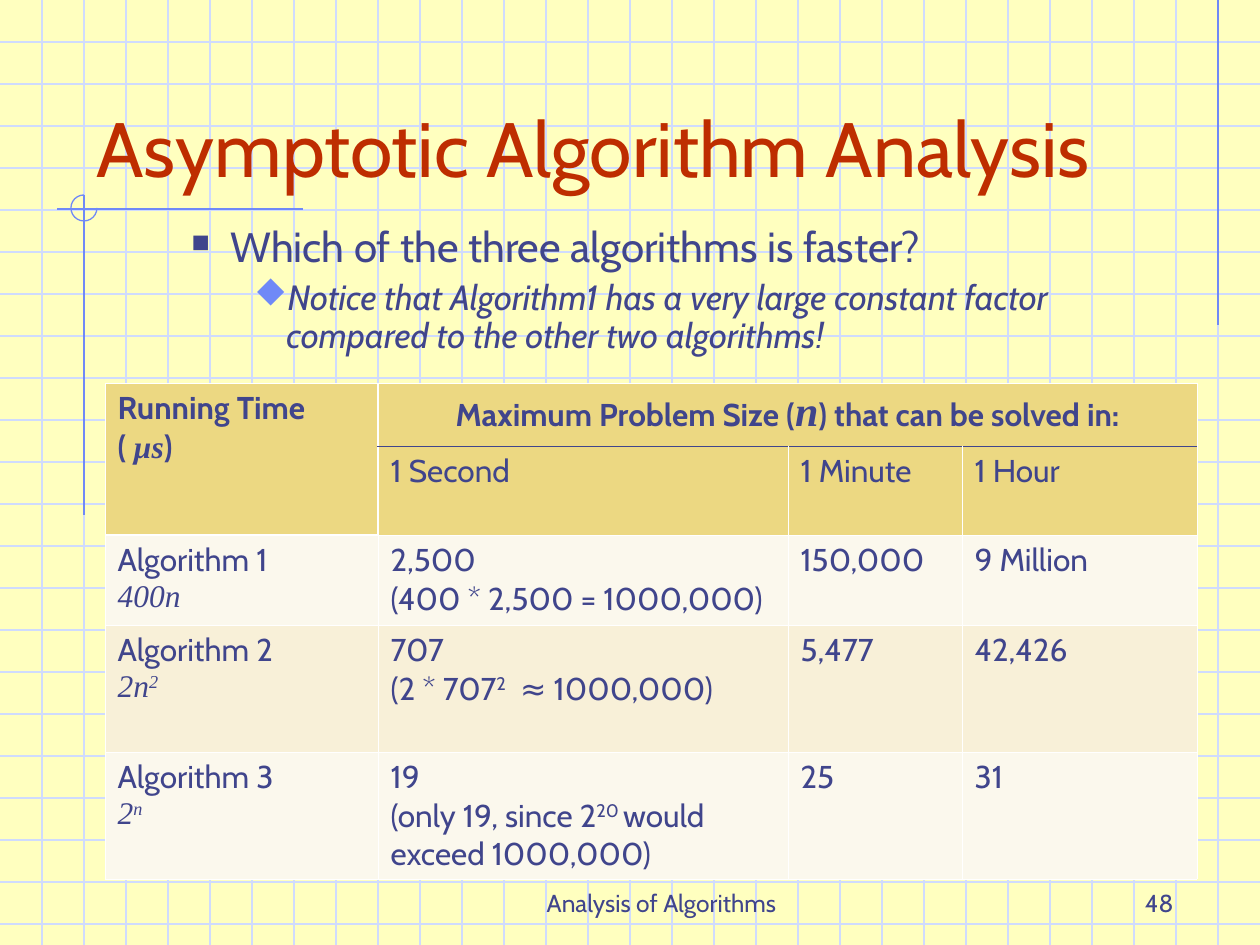
from lxml.etree import SubElement
from pptx import Presentation
from pptx.dml.color import RGBColor
from pptx.enum.shapes import MSO_CONNECTOR, MSO_SHAPE
from pptx.enum.text import MSO_ANCHOR as ANCHOR, PP_ALIGN as ALIGN
from pptx.oxml import parse_xml
from pptx.oxml.ns import nsdecls, qn
from pptx.util import Pt

SCALE = 914400 / 126
WIDTH, HEIGHT, STEP = 1260, 945, 42
INK, BLUE, GRID, RED = "40458C", "6F89F7", "CFDBFD", "BE2D00"
SERIF = "Times New Roman"
rgb = RGBColor.from_string


def px(*lengths):
    return [round(length * SCALE) for length in lengths]


def write(para, text, size=18, font="Cabin", color=INK, bold=False, italic=False, raised=False):
    for number, line in enumerate(text.split("\n")):
        if number:
            para.add_line_break()
        if not line:
            continue
        span = para.add_run()
        span.text = line
        span.font.size = Pt(size)
        span.font.name = font
        span.font.bold = bold
        span.font.italic = italic
        span.font.color.rgb = rgb(color)
        if raised:
            span._r.get_or_add_rPr().set("baseline", "30000")


deck = Presentation()
deck.slide_width, deck.slide_height = px(WIDTH, HEIGHT)
page = deck.slides.add_slide(deck.slide_layouts[6])
page.background.fill.solid()
page.background.fill.fore_color.rgb = rgb("FFFFBF")

rules = [(0, y, WIDTH, y, GRID) for y in range(STEP, HEIGHT, STEP)]
rules += [(x, 0, x, HEIGHT, GRID) for x in range(STEP, WIDTH, STEP)]
rules += [(1218, 0, 1218, 325, BLUE), (303, 209, 57, 209, BLUE), (84, 195, 84, 515, BLUE)]
for *ends, color in rules:
    rule = page.shapes.add_connector(MSO_CONNECTOR.STRAIGHT, *px(*ends))
    rule.line.color.rgb = rgb(color)
    rule.line.width = Pt(0.75)
    SubElement(rule._element.spPr, qn("a:effectLst"))

arc = page.shapes.add_shape(MSO_SHAPE.ARC, *px(71, 195, 26, 26))
arc.adjustments[0], arc.adjustments[1] = 0, 162
arc.shadow.inherit = False
arc.fill.background()
arc.line.color.rgb = rgb(BLUE)
arc.line.width = Pt(0.75)

labels = [
    ((462, 861, 399, 63), "Analysis of Algorithms", 14, INK, ALIGN.CENTER),
    ((924, 861, 262, 63), "48", 14, INK, ALIGN.RIGHT),
    ((84, 42, 1071, 157), "Asymptotic Algorithm Analysis", 44, RED, ALIGN.LEFT),
]
for place, text, size, color, align in labels:
    box = page.shapes.add_textbox(*px(*place))
    box.text_frame.word_wrap = True
    box.text_frame.vertical_anchor = ANCHOR.BOTTOM
    para = box.text_frame.paragraphs[0]
    para.alignment = align
    write(para, text, size=size, color=color)

points = [
    ("Which of the three algorithms is faster?", 24, False, 102, 39, "n", INK, 60, 0),
    ("Notice that Algorithm1 has a very large constant factor compared to the other two algorithms!",
     20, True, 158, 32, "u", BLUE, 95, 5),
]
body = page.shapes.add_textbox(*px(116, 220, 1081, 662)).text_frame
body.word_wrap = True
for number, (text, size, italic, margin, hang, mark, color, percent, before) in enumerate(points):
    para = body.add_paragraph() if number else body.paragraphs[0]
    para.level = number + 1
    props = para._p.get_or_add_pPr()
    for name, length in zip(("marL", "indent"), px(margin, -hang)):
        props.set(name, str(length))
    SubElement(SubElement(props, qn("a:buClr")), qn("a:srgbClr"), val=color)
    SubElement(props, qn("a:buSzPct"), val=str(percent * 1000))
    SubElement(props, qn("a:buFont"), typeface="Wingdings", pitchFamily="2", charset="2")
    SubElement(props, qn("a:buChar"), char=mark)
    para.line_spacing = 0.9
    para.space_before = Pt(before)
    write(para, text, size=size, italic=italic)

strong, formula = {"bold": True}, {"font": SERIF, "italic": True}
power = {"raised": True}
rows = [
    [[("Running Time\n( ", strong), ("µs", strong | formula), (")", strong)],
     [("Maximum Problem Size (", strong), ("n", strong | formula | {"size": 24}),
      (") that can be solved in:", strong)], [], []],
    [[], [("1 Second", {})], [("1 Minute", {})], [("1 Hour", {})]],
    [[("Algorithm 1\n", {}), ("400n", formula)],
     [("2,500\n(400 * 2,500 = 1000,000)", {})], [("150,000", {})], [("9 Million", {})]],
    [[("Algorithm 2\n", {}), ("2n", formula), ("2", formula | power)],
     [("707\n(2 * 707", {}), ("2", power), ("  ≈ 1000,000)", {})],
     [("5,477", {})], [("42,426", {})]],
    [[("Algorithm 3\n", {}), ("2", formula), ("n", formula | power)],
     [("19\n(only 19, since 2", {}), ("20 ", power), ("would exceed 1000,000)", {})],
     [("25", {})], [("31", {})]],
]
fills = ["ECD882", "ECD882", "FBF8ED", "F8F0D8", "FBF8ED"]
widths, heights = [273, 410, 174, 235], [63, 89, 90, 127, 127]
place = px(105, 383, sum(widths), sum(heights))
table = page.shapes.add_table(len(rows), len(widths), *place).table
table.first_row = table.horz_banding = False
for column, width in zip(table.columns, px(*widths)):
    column.width = width
for row, height in zip(table.rows, px(*heights)):
    row.height = height
table.cell(0, 0).merge(table.cell(1, 0))
table.cell(0, 1).merge(table.cell(0, 3))

for top, (row, fill) in enumerate(zip(rows, fills)):
    for left, spans in enumerate(row):
        cell = table.cell(top, left)
        cell.fill.solid()
        cell.fill.fore_color.rgb = rgb(fill)
        para = cell.text_frame.paragraphs[0]
        if (top, left) == (0, 1):
            para.alignment = ALIGN.CENTER
        for text, style in spans:
            write(para, text, **style)
        borders = {side: ("FFFFFF", 0.45) for side in "LRTB"}
        if left and top < 2:
            borders["B" if top == 0 else "T"] = (INK, 0.45)
        if top < 2 and left < 2:
            borders["L" if left else "R"] = ("FFFFFF", 1.47)
        if left == 0 and top in (1, 2):
            borders["B" if top == 1 else "T"] = ("FFFFFF", 1.47)
        props = cell._tc.get_or_add_tcPr()
        for index, (side, (color, weight)) in enumerate(borders.items()):
            props.insert(index, parse_xml(
                f'<a:ln{side} {nsdecls("a")} w="{Pt(weight)}"><a:solidFill>'
                f'<a:srgbClr val="{color}"/></a:solidFill></a:ln{side}>'))

deck.save("out.pptx")
